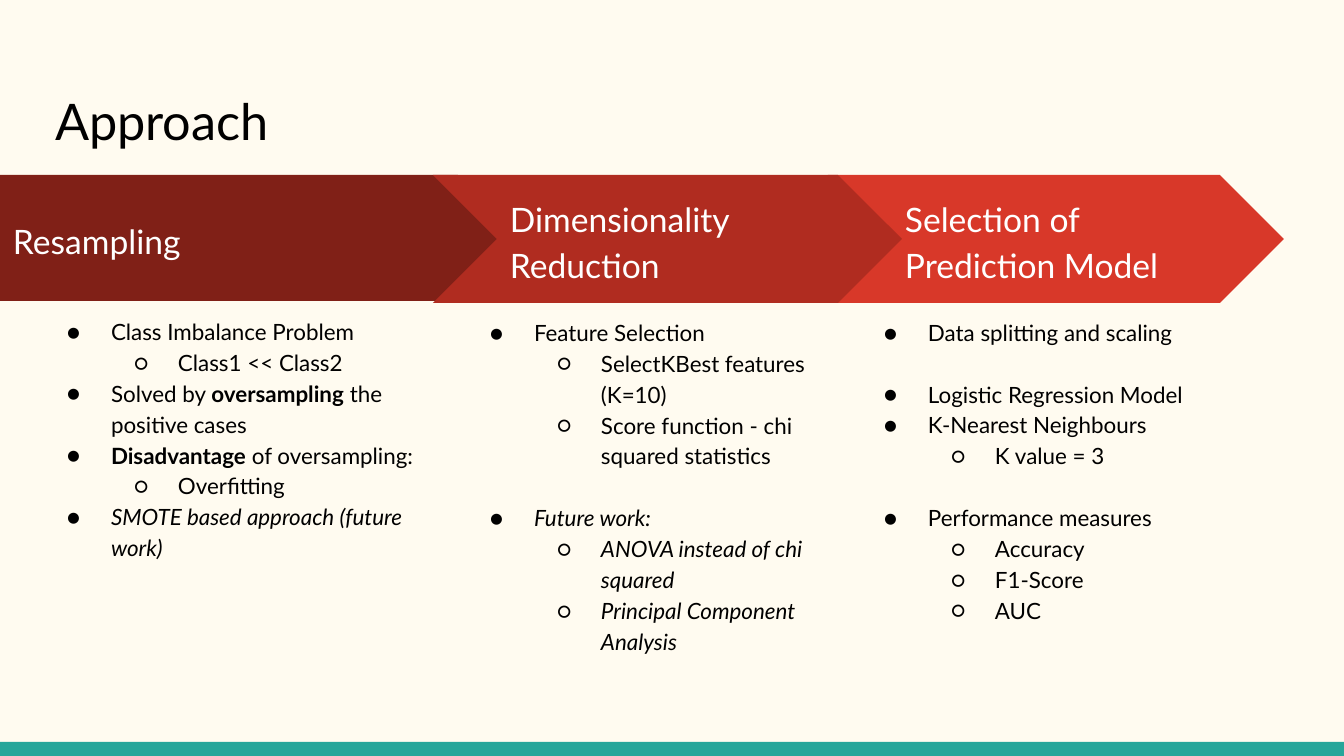
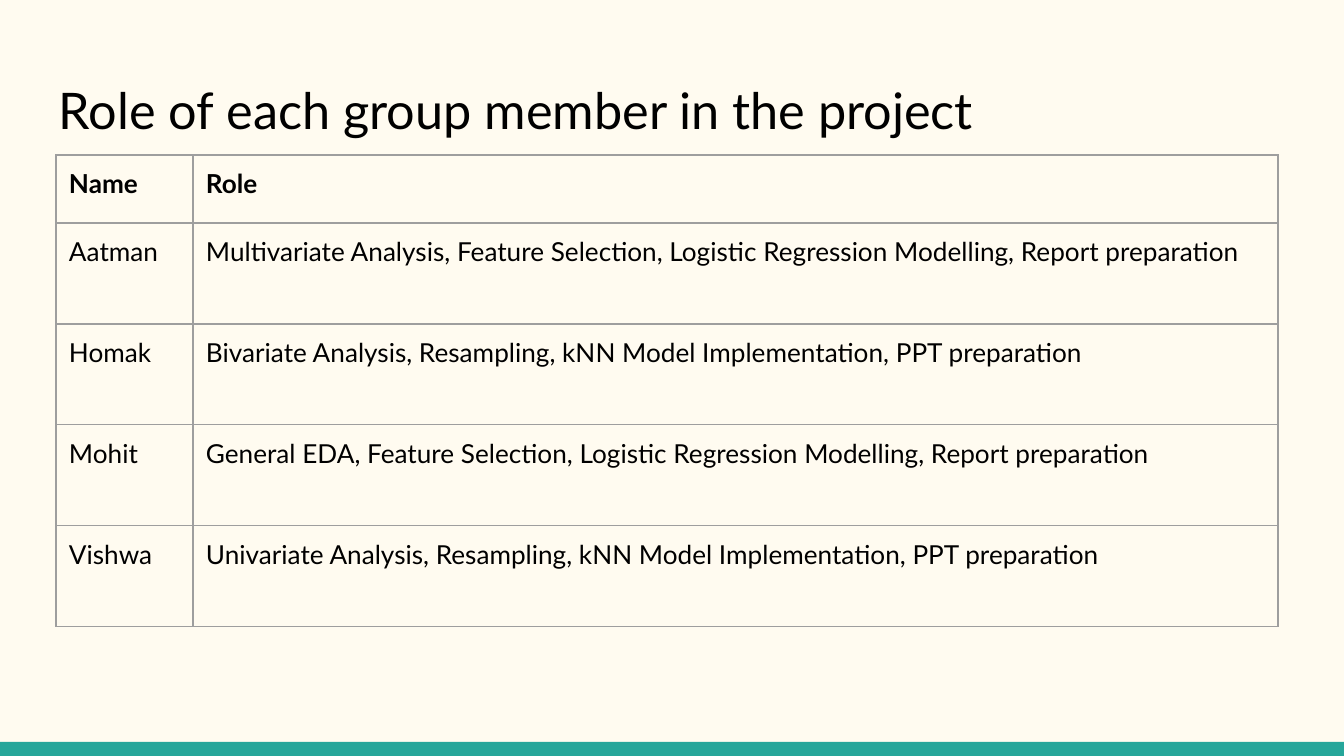
from lxml.etree import SubElement
from pptx import Presentation
from pptx.dml.color import RGBColor
from pptx.enum.shapes import MSO_SHAPE
from pptx.enum.text import MSO_ANCHOR, MSO_AUTO_SIZE, PP_ALIGN
from pptx.oxml.ns import qn
from pptx.util import Pt

EMU_PER_PX = 914400 / 134.4
SLIDE_WIDTH, SLIDE_HEIGHT = 1344, 756
INSET = 13
FONT = "Lato"
CREAM, TEAL, BLACK, WHITE, GREY = "FFFBF0", "26A69A", "000000", "FFFFFF", "9E9E9E"
BOLD, ITALIC = {"bold": True}, {"italic": True}
LIST_LINE = Pt(16.5)
BULLETS = "●○"
INDENT, HANGING = 67, -44

ARROW_TOP = 175
# Back to front, so that the middle arrow covers both neighbours.
ARROWS = [
    ("Selection of Prediction Model", MSO_SHAPE.CHEVRON, "D83829", (828, ARROW_TOP, 456, 128)),
    ("Resampling", MSO_SHAPE.PENTAGON, "802017", (0, ARROW_TOP, 521, 126)),
    ("Dimensionality Reduction", MSO_SHAPE.CHEVRON, "B02C20", (433, ARROW_TOP, 469, 128)),
]

# Each item: level, runs of (text, style), and whether a line is left free above.
RESAMPLING = [
    (0, [("Class Imbalance Problem", {})], False),
    (1, [("Class1 << Class2", {})], False),
    (0, [("Solved by ", {}), ("oversampling", BOLD), (" the positive cases", {})], False),
    (0, [("Disadvantage", BOLD), (" of oversampling:", {})], False),
    (1, [("Overfitting", {})], False),
    (0, [("SMOTE based approach (future work)", ITALIC)], False),
]
REDUCTION = [
    (0, [("Feature Selection", {})], False),
    (1, [("SelectKBest features (K=10)", {})], False),
    (1, [("Score function - chi squared statistics", {})], False),
    (0, [("Future work:", ITALIC)], True),
    (1, [("ANOVA instead of chi squared", ITALIC)], False),
    (1, [("Principal Component Analysis", ITALIC)], False),
]
PREDICTION = [
    (0, [("Data splitting and scaling", {})], False),
    (0, [("Logistic Regression Model", {})], True),
    (0, [("K-Nearest Neighbours", {})], False),
    (1, [("K value = 3", {})], False),
    (0, [("Performance measures", {})], True),
    (1, [("Accuracy", {})], False),
    (1, [("F1-Score", {})], False),
    (1, [("AUC", {})], False),
]
COLUMNS = [
    (RESAMPLING, (31, 301, 425, 370)),
    (REDUCTION, (454, 302, 403, 370)),
    (PREDICTION, (848, 302, 403, 370)),
]

ROLES = [
    ("Name", "Role"),
    ("Aatman", "Multivariate Analysis, Feature Selection, Logistic Regression Modelling, "
               "Report preparation"),
    ("Homak", "Bivariate Analysis, Resampling, kNN Model Implementation, PPT preparation"),
    ("Mohit", "General EDA, Feature Selection, Logistic Regression Modelling, Report preparation"),
    ("Vishwa", "Univariate Analysis, Resampling, kNN Model Implementation, PPT preparation"),
]
NAME_WIDTH, HEADER_HEIGHT = 137, 68


def px(length):
    return round(length * EMU_PER_PX)


def color(hex_value):
    return RGBColor.from_string(hex_value)


def apply(target, values):
    for attribute, value in values.items():
        setattr(target, attribute, value)


def place(part, box):
    apply(part, dict(zip(("left", "top", "width", "height"), map(px, box))))


def paint(fill, hex_value):
    fill.solid()
    fill.fore_color.rgb = color(hex_value)


def margins():
    return {f"margin_{side}": px(INSET) for side in ("left", "top", "right", "bottom")}


def set_frame(frame, anchor):
    apply(frame, {**margins(), "word_wrap": True, "vertical_anchor": anchor,
                  "auto_size": MSO_AUTO_SIZE.NONE})


def write(paragraph, text, size, hex_value=BLACK, style=None):
    run = paragraph.add_run()
    run.text = text
    apply(run.font, {"name": FONT, "size": Pt(size), "bold": False, "italic": False,
                     **(style or {})})
    run.font.color.rgb = color(hex_value)


def add_block(slide, preset, hex_value, box):
    block = slide.shapes.add_shape(preset, *map(px, box))
    block.shadow.inherit = False
    paint(block.fill, hex_value)
    block.line.fill.background()
    return block


def set_master(master, slide):
    """Give the master its background and the band along the bottom edge."""
    paint(master.background.fill, CREAM)
    band = add_block(slide, MSO_SHAPE.RECTANGLE, TEAL, (0, 742, SLIDE_WIDTH, 14))
    master.shapes.element.append(band.element)


def set_title(slide, text, left, top):
    title = slide.shapes.title
    place(title, (left, top, 1253, 90))
    set_frame(title.text_frame, MSO_ANCHOR.TOP)
    paragraph = title.text_frame.paragraphs[0]
    paragraph.alignment = PP_ALIGN.LEFT
    write(paragraph, text, 27)


def add_arrow(slide, text, preset, hex_value, box):
    arrow = add_block(slide, preset, hex_value, box)
    arrow.adjustments[0] = 0.5
    set_frame(arrow.text_frame, MSO_ANCHOR.MIDDLE)
    paragraph = arrow.text_frame.paragraphs[0]
    apply(paragraph, {"alignment": PP_ALIGN.LEFT, "line_spacing": 1.15, "space_after": Pt(12)})
    write(paragraph, text, 18, WHITE)


def set_bullet(paragraph, level):
    properties = paragraph._p.get_or_add_pPr()
    properties.set("marL", str(px(INDENT * (level + 1))))
    properties.set("indent", str(px(HANGING)))
    bullet_color = SubElement(properties, qn("a:buClr"))
    SubElement(bullet_color, qn("a:srgbClr"), val=BLACK)
    SubElement(properties, qn("a:buFont"), typeface=FONT)
    SubElement(properties, qn("a:buChar"), char=BULLETS[level])


def fill_list(body, items, box):
    place(body, box)
    frame = body.text_frame
    set_frame(frame, MSO_ANCHOR.TOP)
    for index, (level, runs, gap_above) in enumerate(items):
        paragraph = frame.add_paragraph() if index else frame.paragraphs[0]
        apply(paragraph, {"level": level, "line_spacing": 1.15, "space_after": Pt(0),
                          "space_before": LIST_LINE if gap_above else Pt(0)})
        set_bullet(paragraph, level)
        for text, style in runs:
            write(paragraph, text, 12, style=style)


def set_borders(cell):
    properties = cell._tc.get_or_add_tcPr()
    for side in ("lnL", "lnR", "lnT", "lnB"):
        border = SubElement(properties, qn(f"a:{side}"), w=str(Pt(0.75)))
        border_fill = SubElement(border, qn("a:solidFill"))
        SubElement(border_fill, qn("a:srgbClr"), val=GREY)


def add_roles(slide, box):
    left, top, width, height = box
    roles = slide.shapes.add_table(len(ROLES), 2, *map(px, box)).table
    apply(roles, {"first_row": False, "horz_banding": False})
    for column, column_width in zip(roles.columns, (NAME_WIDTH, width - NAME_WIDTH)):
        column.width = px(column_width)
    member_height = (height - HEADER_HEIGHT) / (len(ROLES) - 1)
    for index, (row, texts) in enumerate(zip(roles.rows, ROLES)):
        row.height = px(member_height if index else HEADER_HEIGHT)
        for cell, text in zip(row.cells, texts):
            set_borders(cell)
            cell.fill.background()
            apply(cell, margins())
            write(cell.text_frame.paragraphs[0], text, 14, style={} if index else BOLD)


def build_approach(slide):
    set_title(slide, "Approach", 42, 77)
    bodies = [holder for holder in slide.placeholders if holder.placeholder_format.idx]
    for body, (items, box) in zip(bodies, COLUMNS):
        fill_list(body, items, box)
    for unused in bodies[len(COLUMNS):]:
        unused.element.getparent().remove(unused.element)
    for arrow in ARROWS:
        add_arrow(slide, *arrow)


def build_roles(slide):
    set_title(slide, "Role of each group member in the project", 46, 66)
    add_roles(slide, (56, 155, 1222, 472))


def main():
    deck = Presentation()
    apply(deck, {"slide_width": px(SLIDE_WIDTH), "slide_height": px(SLIDE_HEIGHT)})
    approach = deck.slides.add_slide(deck.slide_layouts.get_by_name("Comparison"))
    set_master(deck.slide_master, approach)
    build_approach(approach)
    build_roles(deck.slides.add_slide(deck.slide_layouts.get_by_name("Title Only")))
    deck.save("out.pptx")


if __name__ == "__main__":
    main()
